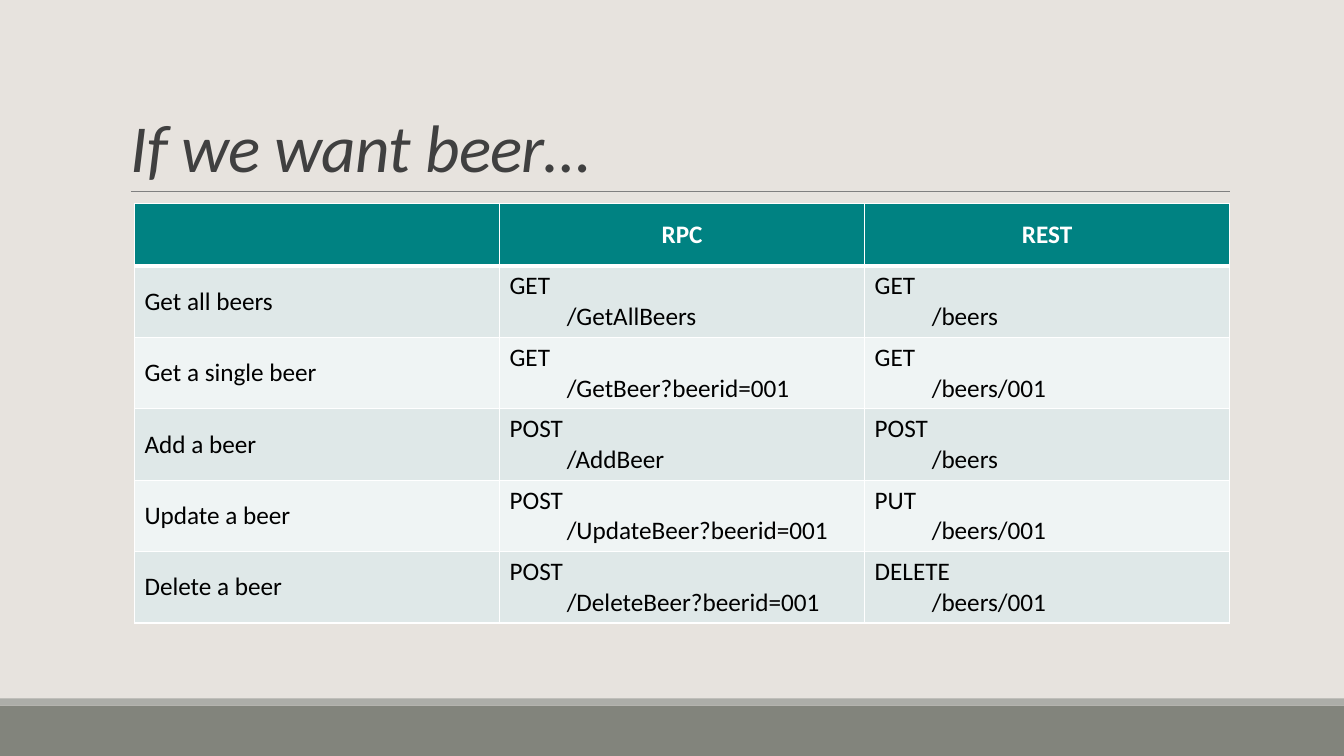
from lxml import etree
from pptx import Presentation
from pptx.dml.color import RGBColor
from pptx.enum import shapes, text
from pptx.oxml import ns
from pptx.util import Cm, Pt

TITLE = "If we want beer…"
HEADS = ["", "RPC", "REST"]
ROWS = [
    ("Get all beers", ("GET", "/GetAllBeers"), ("GET", "/beers")),
    ("Get a single beer", ("GET", "/GetBeer?beerid=001"), ("GET", "/beers/001")),
    ("Add a beer", ("POST", "/AddBeer"), ("POST", "/beers")),
    ("Update a beer", ("POST", "/UpdateBeer?beerid=001"), ("PUT", "/beers/001")),
    ("Delete a beer", ("POST", "/DeleteBeer?beerid=001"), ("DELETE", "/beers/001")),
]
FONT = "Calibri"
SAND = RGBColor(0xE7, 0xE3, 0xDE)
STONE = RGBColor(0x82, 0x84, 0x7C)
ASH = RGBColor(0xAC, 0xAD, 0xA8)
GRAY = RGBColor(0x80, 0x80, 0x80)
DARK = RGBColor(0x40, 0x40, 0x40)
TEAL = RGBColor(0x00, 0x82, 0x82)
MIST = RGBColor(0xDF, 0xE8, 0xE8)
PALE = RGBColor(0xEF, 0xF4, 0xF4)
WHITE = RGBColor(0xFF, 0xFF, 0xFF)
BLACK = RGBColor(0, 0, 0)
BARS = [(17.78, 1.27, STONE), (17.6, 0.18, ASH)]
WIDE, HIGH = 33.87, 19.05
COL, HEAD, ROW = 9.2, 1.57, 1.8


def style(par, size, color, bold=False, italic=False):
    font = par.font
    font.name, font.size, font.bold, font.italic = FONT, Pt(size), bold, italic
    font.color.rgb = color


def edge(cell, side, width):
    line = etree.SubElement(cell._tc.get_or_add_tcPr(), ns.qn("a:ln" + side), w=str(Pt(width)))
    fill = etree.SubElement(line, ns.qn("a:solidFill"))
    etree.SubElement(fill, ns.qn("a:srgbClr"), val=str(WHITE))


def draw_bars(slide):
    for top, high, color in BARS:
        bar = slide.shapes.add_shape(
            shapes.MSO_SHAPE.RECTANGLE, 0, Cm(top), Cm(WIDE), Cm(high))
        bar.shadow.inherit = False
        bar.fill.solid()
        bar.fill.fore_color.rgb = color
        bar.line.fill.background()


def draw_title(slide):
    rule = slide.shapes.add_connector(
        shapes.MSO_CONNECTOR.STRAIGHT, Cm(3.3), Cm(4.83), Cm(30.99), Cm(4.83))
    rule.line.color.rgb = GRAY
    rule.line.width = Pt(0.5)
    etree.SubElement(rule._element.spPr, ns.qn("a:effectLst"))
    frame = slide.shapes.add_textbox(Cm(3.05), Cm(0.79), Cm(27.94), Cm(4.04)).text_frame
    frame.word_wrap = True
    frame.vertical_anchor = text.MSO_ANCHOR.BOTTOM
    par = frame.paragraphs[0]
    par.line_spacing = 0.85
    run = par.add_run()
    run.text = TITLE
    run._r.get_or_add_rPr().set("spc", "-50")
    style(par, 48, DARK, italic=True)


def draw_table(slide):
    data = [HEADS] + ROWS
    table = slide.shapes.add_table(
        len(data), len(HEADS), Cm(3.39), Cm(5.13),
        Cm(COL * len(HEADS)), Cm(HEAD + ROW * len(ROWS))).table
    for col in table.columns:
        col.width = Cm(COL)
    for i, items in enumerate(data):
        table.rows[i].height = Cm(ROW if i else HEAD)
        for j, item in enumerate(items):
            cell = table.cell(i, j)
            for side in "LRTB":
                thick = (i, side) in ((0, "B"), (1, "T"))
                edge(cell, side, 3 if thick else 1)
            cell.fill.solid()
            cell.fill.fore_color.rgb = (MIST if i % 2 else PALE) if i else TEAL
            cell.vertical_anchor = text.MSO_ANCHOR.MIDDLE
            lines = (item,) if isinstance(item, str) else item
            cell.text = "\n".join(lines)
            for k, par in enumerate(cell.text_frame.paragraphs):
                style(par, 18, BLACK if i else WHITE, bold=not i)
                par.alignment = text.PP_ALIGN.LEFT if i else text.PP_ALIGN.CENTER
                if k:
                    props = par._p.get_or_add_pPr()
                    props.set("marL", str(Cm(1.44)))
                    props.set("indent", "0")


def main():
    deck = Presentation()
    deck.slide_width, deck.slide_height = Cm(WIDE), Cm(HIGH)
    slide = deck.slides.add_slide(deck.slide_layouts[6])
    slide.background.fill.solid()
    slide.background.fill.fore_color.rgb = SAND
    draw_bars(slide)
    draw_title(slide)
    draw_table(slide)
    deck.save("out.pptx")


if __name__ == "__main__":
    main()
